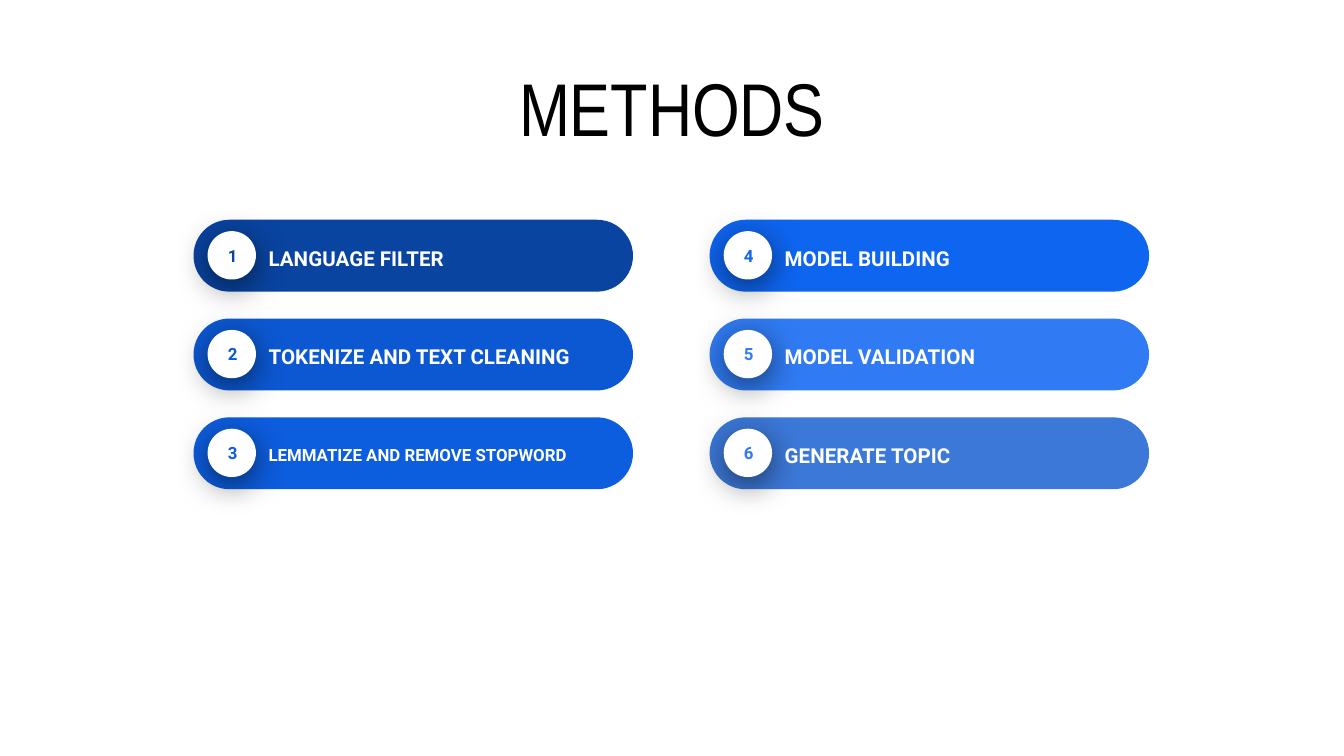
import lxml.etree
import pptx
import pptx.dml.color
import pptx.enum.shapes
import pptx.enum.text
import pptx.oxml.ns
import pptx.util

RGBColor = pptx.dml.color.RGBColor
Shape = pptx.enum.shapes.MSO_SHAPE
Anchor = pptx.enum.text.MSO_ANCHOR
Align = pptx.enum.text.PP_ALIGN

EMU_PER_PX = 4572  # 200 px to the inch
BLACK = RGBColor(0x00, 0x00, 0x00)
WHITE = RGBColor(0xFF, 0xFF, 0xFF)
NAVY = RGBColor(0x09, 0x44, 0xA1)
ROYAL = RGBColor(0x0C, 0x58, 0xD3)
COBALT = RGBColor(0x0D, 0x5D, 0xDF)
AZURE = RGBColor(0x0E, 0x65, 0xF0)
SKY = RGBColor(0x30, 0x7B, 0xF3)
STEEL = RGBColor(0x3C, 0x78, 0xD8)

ROWS = 3
GRID_LEFT, GRID_TOP = 288, 327
COLUMN_PITCH, ROW_PITCH = 768, 147

# label, label size, pill colour, number colour
STEPS = [
    ("LANGUAGE FILTER", 11, NAVY, NAVY),
    ("TOKENIZE AND TEXT CLEANING", 11, ROYAL, ROYAL),
    ("LEMMATIZE AND REMOVE STOPWORD", 9, COBALT, COBALT),
    ("MODEL BUILDING", 11, AZURE, AZURE),
    ("MODEL VALIDATION", 11, SKY, SKY),
    ("GENERATE TOPIC", 11, STEEL, SKY),
]


def px(*lengths):
    return [pptx.util.Emu(length * EMU_PER_PX) for length in lengths]


def write(shape, text, font, size, color, bold=False, align=Align.LEFT,
          anchor=Anchor.MIDDLE, spacing=1.0):
    frame = shape.text_frame
    frame.word_wrap = True
    frame.vertical_anchor = anchor
    frame.margin_left, frame.margin_top, frame.margin_right, frame.margin_bottom = px(20, 20, 20, 20)
    frame.text = text
    para = frame.paragraphs[0]
    para.alignment = align
    para.line_spacing = spacing
    span = para.runs[0]
    span.font.name = font
    span.font.size = pptx.util.Pt(size)
    span.font.bold = bold
    span.font.color.rgb = color


def add_filled(shapes, kind, left, top, width, height, color):
    shape = shapes.add_shape(kind, *px(left, top, width, height))
    shape.shadow.inherit = False
    shape.fill.solid()
    shape.fill.fore_color.rgb = color
    shape.line.fill.background()
    return shape


def cast_shadow(shape):
    """Give the shape a soft black shadow straight below it."""
    qn = pptx.oxml.ns.qn
    effects = shape.element.spPr.find(qn("a:effectLst"))
    shadow = lxml.etree.SubElement(
        effects, qn("a:outerShdw"), blurRad=str(pptx.util.Pt(18)),
        dist=str(pptx.util.Pt(4)), dir="5400000", algn="bl", rotWithShape="0")
    color = lxml.etree.SubElement(shadow, qn("a:srgbClr"), val=str(BLACK))
    lxml.etree.SubElement(color, qn("a:alpha"), val="55000")


def add_title(page, text):
    box = page.shapes.add_textbox(*px(62, 72, 1876, 288))
    write(box, text, "Arial Narrow", 40, BLACK, align=Align.CENTER, anchor=Anchor.TOP)


def add_step(page, number, left, top, label, size, pill_color, number_color):
    """Group a pill with its numbered disc and its label."""
    shapes = page.shapes.add_group_shape().shapes
    pill = add_filled(shapes, Shape.ROUNDED_RECTANGLE, left, top, 654, 107, pill_color)
    pill.adjustments[0] = 0.5
    disc = add_filled(shapes, Shape.OVAL, left + 21, top + 17, 72, 72, WHITE)
    cast_shadow(disc)
    write(disc, str(number), "Roboto", 9, number_color, bold=True)
    box = shapes.add_textbox(*px(left + 92, top + 17, 518, 74))
    write(box, label, "Roboto", size, WHITE, bold=True, spacing=1.15)


def main():
    deck = pptx.Presentation()
    deck.slide_width, deck.slide_height = px(2000, 1125)
    page = deck.slides.add_slide(deck.slide_layouts[6])
    add_title(page, "METHODS")
    for index, step in enumerate(STEPS):
        column, row = divmod(index, ROWS)
        add_step(page, index + 1, GRID_LEFT + column * COLUMN_PITCH,
                 GRID_TOP + row * ROW_PITCH, *step)
    deck.save("out.pptx")


if __name__ == "__main__":
    main()
